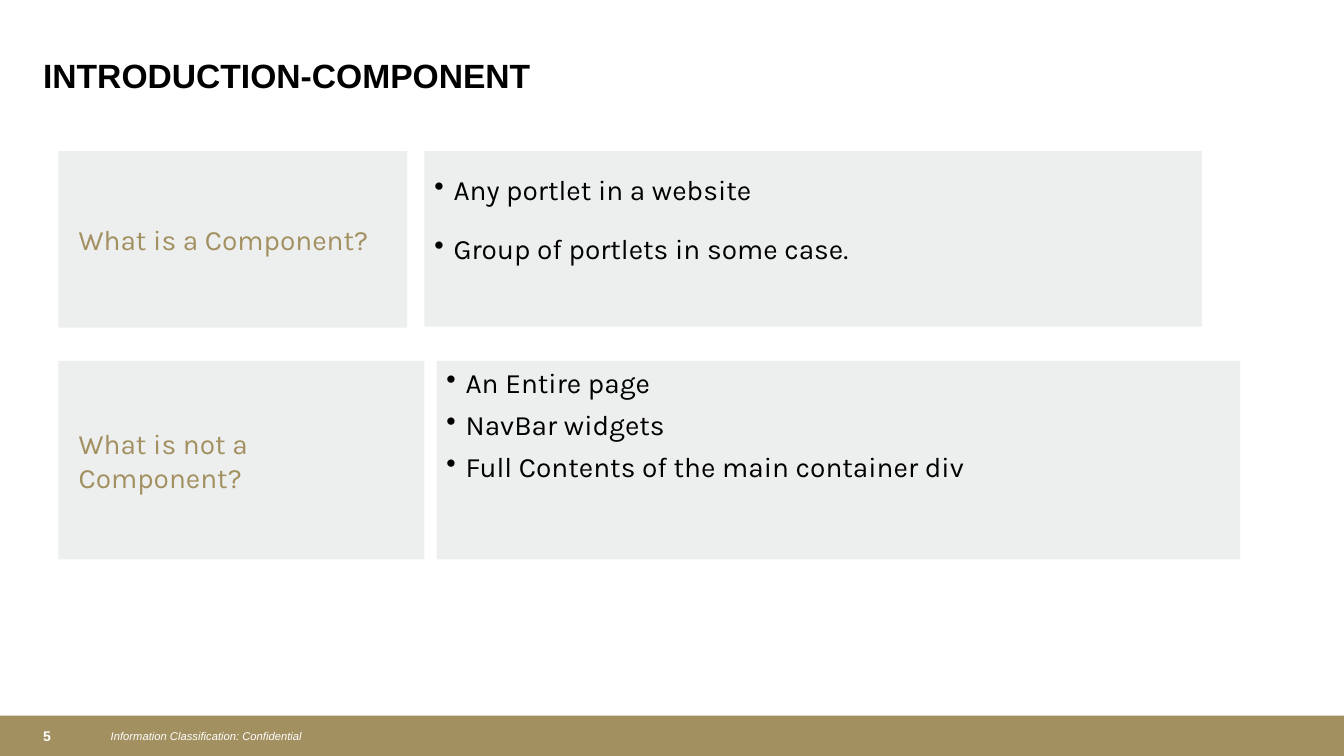
import pptx
import pptx.util
import pptx.dml.color
import pptx.enum.shapes
import pptx.enum.text
import pptx.oxml.ns
import lxml.etree

Inches, Pt = pptx.util.Inches, pptx.util.Pt
RGB = pptx.dml.color.RGBColor.from_string
ANCHOR = pptx.enum.text.MSO_ANCHOR

# Content
TITLE = "INTRODUCTION-COMPONENT"
NUMBER = "5"
NOTICE = "Information Classification: Confidential"
# Each row: question, answers, top, heights, widths, gap, line spacing
ROWS = [
    dict(ask="What is a Component?",
         items=["Any portlet in a website",
                "Group of portlets in some case."],
         top=1.5, tall=(1.75, 1.74), wide=(3.46, 7.71), gap=0.17, lead=1.5),
    dict(ask="What is not a Component?",
         items=["An Entire page", "NavBar widgets",
                "Full Contents of the main container div"],
         top=3.58, tall=(1.97, 1.97), wide=(3.63, 7.97), gap=0.12, lead=1.0),
]

# Theme
GOLD, GREY, BLACK, WHITE = "A29060", "EDEEEE", "000000", "FFFFFF"
THEME = {
    "title": dict(name="Arial", size=24, bold=True, color=BLACK),
    "ask": dict(name="Karla", size=20, color=GOLD),
    "item": dict(name="Karla", size=20, color=BLACK),
    "number": dict(name="Arial", size=10, bold=True, color=WHITE),
    "notice": dict(name="Arial", size=8, italic=True, color=WHITE),
}
SIZE = (13.33, 7.5)
LEFT = 0.58
BAR = 0.4
INDENT = 0.19


def style(font, look):
    for key, val in look.items():
        if key == "color":
            font.color.rgb = RGB(val)
        else:
            setattr(font, key, Pt(val) if key == "size" else val)


def bullet(para):
    props = para._p.get_or_add_pPr()
    props.set("marL", str(Inches(INDENT)))
    props.set("indent", str(-Inches(INDENT)))
    tag = pptx.oxml.ns.qn("a:buChar")
    lxml.etree.SubElement(props, tag).set("char", "•")


def write(shape, lines, look, marks=False, para_fmt=None, **frame_fmt):
    frame = shape.text_frame
    fmt = dict(word_wrap=True, vertical_anchor=ANCHOR.TOP) | frame_fmt
    for key, val in fmt.items():
        setattr(frame, key, val)
    for i, line in enumerate(lines):
        para = frame.add_paragraph() if i else frame.paragraphs[0]
        para.alignment = pptx.enum.text.PP_ALIGN.LEFT
        for key, val in (para_fmt or {}).items():
            setattr(para, key, val)
        if marks:
            bullet(para)
        run = para.add_run()
        run.text = line
        style(run.font, THEME[look])


def block(slide, box, fill):
    kind = pptx.enum.shapes.MSO_SHAPE.RECTANGLE
    shape = slide.shapes.add_shape(kind, *map(Inches, box))
    shape.shadow.inherit = False
    shape.fill.solid()
    shape.fill.fore_color.rgb = RGB(fill)
    shape.line.fill.background()
    return shape


def label(slide, box, text, look, **fmt):
    shape = slide.shapes.add_textbox(*map(Inches, box))
    write(shape, [text], look, **fmt)


def main():
    deck = pptx.Presentation()
    deck.slide_width, deck.slide_height = map(Inches, SIZE)
    slide = deck.slides.add_slide(deck.slide_layouts[6])

    # Footer
    block(slide, (0, SIZE[1] - BAR, SIZE[0], BAR), GOLD)
    foot = dict(vertical_anchor=ANCHOR.MIDDLE, para_fmt=dict(line_spacing=0.95))
    label(slide, (0.33, 7.12, 0.6, 0.38), NUMBER, "number",
          word_wrap=False, **foot)
    label(slide, (1, 7.19, 9.27, 0.24), NOTICE, "notice", **foot)

    # Question and answer rows
    space = Pt(6)
    for row in ROWS:
        (ask_w, ans_w), (ask_h, ans_h) = row["wide"], row["tall"]
        ans_x = LEFT + ask_w + row["gap"]
        ans = block(slide, (ans_x, row["top"], ans_w, ans_h), GREY)
        write(ans, row["items"], "item", marks=True,
              para_fmt=dict(space_before=space, line_spacing=row["lead"]))
        ask = block(slide, (LEFT, row["top"], ask_w, ask_h), GREY)
        write(ask, [row["ask"]], "ask", para_fmt=dict(space_before=space),
              vertical_anchor=ANCHOR.MIDDLE, margin_left=Inches(0.2))

    # Title
    label(slide, (0.33, 0.5, 12.67, 0.5), TITLE, "title")
    deck.save("out.pptx")


if __name__ == "__main__":
    main()
